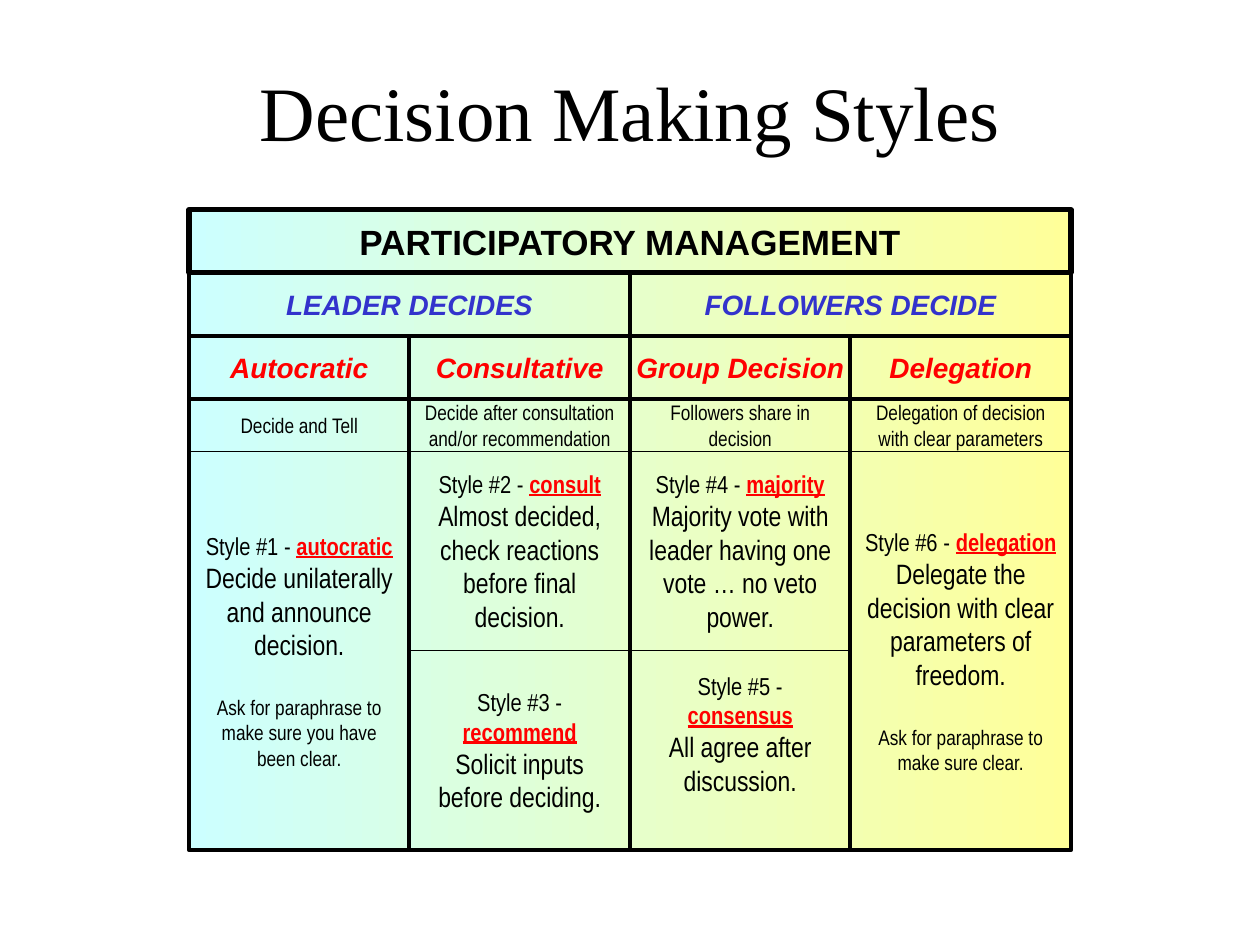
"""Build the Decision Making Styles slide."""
from dataclasses import dataclass
from itertools import accumulate

from pptx import Presentation
from pptx.dml.color import RGBColor
from pptx.enum.shapes import MSO_SHAPE
from pptx.enum.text import MSO_ANCHOR, MSO_AUTO_SIZE, PP_ALIGN
from pptx.util import Cm, Pt


@dataclass(frozen=True)
class TextStyle:
    """Font settings of one run."""
    size: float
    font: str = "Arial Narrow"
    color: str = "000000"
    bold: bool = False
    italic: bool = False
    underline: bool = False


@dataclass(frozen=True)
class Theme:
    """Colours, type sizes and line widths of the slide."""
    line: str = "000000"
    gradient: tuple = ("CCFFFF", "FFFF99")
    thin: float = 0.75
    medium: float = 2.25
    thick: float = 3
    title: TextStyle = TextStyle(44, "Times New Roman")
    banner: TextStyle = TextStyle(20, "Arial", bold=True)
    decider: TextStyle = TextStyle(16, "Arial", "3333CC", True, True)
    approach: TextStyle = TextStyle(16, "Arial", "FF0000", True, True)
    note: TextStyle = TextStyle(12)
    label: TextStyle = TextStyle(14)
    keyword: TextStyle = TextStyle(14, color="FF0000", bold=True, underline=True)
    body: TextStyle = TextStyle(16)
    note_gap: float = 19


class StyleChart:
    """Draw the parts of the chart on the current slide."""

    def __init__(self, slide, theme):
        self.slide = slide
        self.theme = theme

    def add_run(self, paragraph, text, style):
        """Append one formatted run."""
        run = paragraph.add_run()
        run.text = text
        font = run.font
        font.name, font.size = style.font, Pt(style.size)
        font.bold, font.italic, font.underline = style.bold, style.italic, style.underline
        font.color.rgb = RGBColor.from_string(style.color)

    def add_title(self, text, left, top, width, height):
        """Place and fill the title placeholder."""
        title = self.slide.shapes.title
        title.left, title.top, title.width, title.height = map(Cm, (left, top, width, height))
        frame = title.text_frame
        frame.auto_size = MSO_AUTO_SIZE.NONE
        frame.vertical_anchor = MSO_ANCHOR.MIDDLE
        frame.paragraphs[0].alignment = PP_ALIGN.CENTER
        self.add_run(frame.paragraphs[0], text, self.theme.title)

    def add_panel(self, left, top, width, height, weight, shaded=False):
        """Draw an outlined rectangle, optionally with the gradient."""
        panel = self.slide.shapes.add_shape(
            MSO_SHAPE.RECTANGLE, Cm(left), Cm(top), Cm(width), Cm(height))
        panel.shadow.inherit = False
        panel.line.color.rgb = RGBColor.from_string(self.theme.line)
        panel.line.width = Pt(weight)
        if shaded:
            panel.fill.gradient()
            panel.fill.gradient_angle = 0
            for position, (stop, color) in enumerate(
                    zip(panel.fill.gradient_stops, self.theme.gradient)):
                stop.position = position
                stop.color.rgb = RGBColor.from_string(color)
        else:
            panel.fill.background()
        return panel

    def add_text(self, panel, paragraphs, wrap=True, bottom=0.13):
        """Fill a panel with centred paragraphs of (text, style) runs."""
        frame = panel.text_frame
        frame.word_wrap = wrap
        frame.vertical_anchor = MSO_ANCHOR.MIDDLE
        frame.margin_left = frame.margin_right = Cm(0.25)
        frame.margin_top, frame.margin_bottom = Cm(0.13), Cm(bottom)
        for index, runs in enumerate(paragraphs):
            paragraph = frame.add_paragraph() if index else frame.paragraphs[0]
            paragraph.alignment = PP_ALIGN.CENTER
            if index and runs[0][1] == self.theme.note:
                paragraph.space_before = Pt(self.theme.note_gap)
            for text, style in runs:
                self.add_run(paragraph, text, style)

    def add_heading(self, text, style, box, weight, shaded=False):
        """Draw a one-line heading cell."""
        panel = self.add_panel(*box, weight, shaded)
        self.add_text(panel, [[(text, style)]], wrap=False)

    def add_style(self, box, number, keyword, summary, advice="", bottom=0.13):
        """Draw the cell of one numbered decision style."""
        theme = self.theme
        paragraphs = [
            [(f"Style #{number} - ", theme.label), (keyword, theme.keyword)],
            [(summary, theme.body)],
        ]
        if advice:
            paragraphs.append([(advice, theme.note)])
        self.add_text(self.add_panel(*box, theme.thin), paragraphs, bottom=bottom)


LEFT, TOP, WIDTH = 3.81, 4.23, 17.78
COLUMN = WIDTH / 4
ROWS = [1.27, 1.27, 1.27, 1.06, 4.02, 4.02]
TOPS = list(accumulate(ROWS, initial=TOP))

DECIDERS = ["LEADER DECIDES", "FOLLOWERS DECIDE"]
APPROACHES = [
    ("Autocratic", "Decide and Tell"),
    ("Consultative", "Decide after consultation and/or recommendation"),
    ("Group Decision", "Followers share in decision"),
    ("Delegation", "Delegation of decision with clear parameters"),
]
STYLES = [
    (0, 4, 2, "autocratic", "Decide unilaterally and announce decision.",
     "Ask for paraphrase to make sure you have been clear."),
    (1, 4, 1, "consult", "Almost decided, check reactions before final decision."),
    (1, 5, 1, "recommend", "Solicit inputs before deciding."),
    (2, 4, 1, "majority", "Majority vote with leader having one vote … no veto power."),
    (2, 5, 1, "consensus", "All agree after discussion.", "", 0.8),
    (3, 4, 2, "delegation", "Delegate the decision with clear parameters of freedom.",
     "Ask for paraphrase to make sure clear."),
]


def grid_box(column, row, columns=1, rows=1):
    """Return left, top, width and height of a span of the grid."""
    return (LEFT + column * COLUMN, TOPS[row],
            columns * COLUMN, TOPS[row + rows] - TOPS[row])


def main():
    """Build and save the slide."""
    presentation = Presentation()
    presentation.slide_width, presentation.slide_height = Cm(25.4), Cm(19.05)
    slide = presentation.slides.add_slide(presentation.slide_layouts[5])
    theme = Theme()
    chart = StyleChart(slide, theme)

    chart.add_title("Decision Making Styles", 1.9, 1.06, 21.6, 2.33)
    chart.add_panel(*grid_box(0, 0, 4, 6), theme.thin, shaded=True)
    for number, (column, row, rows, *content) in enumerate(STYLES, 1):
        chart.add_style(grid_box(column, row, rows=rows), number, *content)
    for column, (approach, meaning) in enumerate(APPROACHES):
        meaning_cell = chart.add_panel(*grid_box(column, 3), theme.thin)
        chart.add_text(meaning_cell, [[(meaning, theme.note)]])
        chart.add_heading(approach, theme.approach, grid_box(column, 2), theme.medium)
    for half, decider in enumerate(DECIDERS):
        chart.add_heading(decider, theme.decider, grid_box(2 * half, 1, 2), theme.medium)
    chart.add_heading("PARTICIPATORY MANAGEMENT", theme.banner,
                      grid_box(0, 0, 4), theme.thick, shaded=True)
    for column in range(len(APPROACHES)):
        chart.add_panel(*grid_box(column, 3, rows=3), theme.medium)

    presentation.save("out.pptx")


if __name__ == "__main__":
    main()
